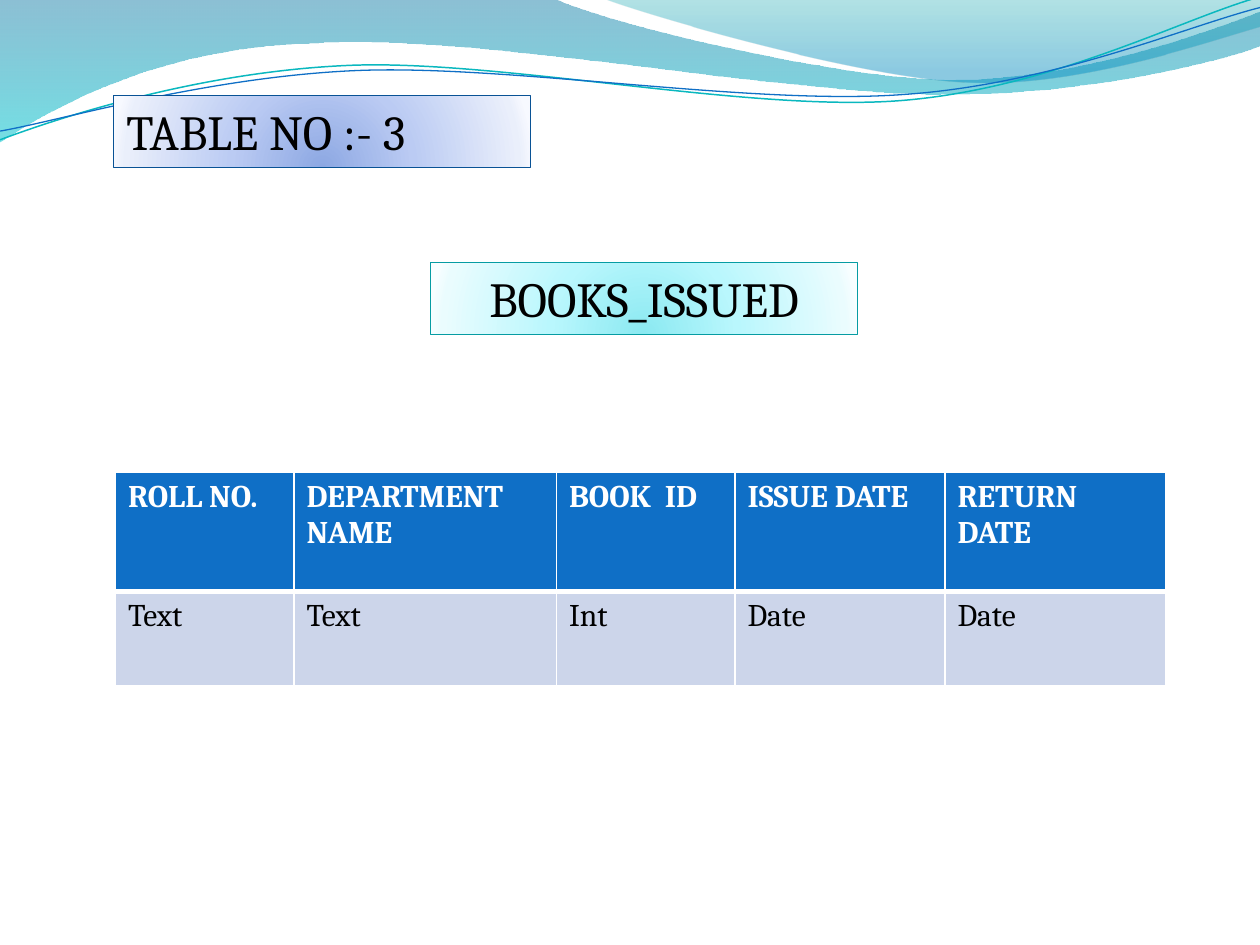
from dataclasses import dataclass
from typing import Optional

from lxml.etree import SubElement
from pptx import Presentation
from pptx.dml.color import RGBColor
from pptx.enum.shapes import MSO_SHAPE as Preset
from pptx.enum.text import MSO_ANCHOR as Anchor, MSO_AUTO_SIZE as AutoSize, PP_ALIGN as Align
from pptx.oxml import parse_xml
from pptx.oxml.ns import nsdecls, qn
from pptx.util import Pt

FONT = "Cambria"
COLORS = {
    "header": "0F6FC6", "body": "CCD5EA", "white": "FFFFFF", "black": "000000",
    "teal_line": "0AB8BF", "blue_line": "0F6FC6",
}
UNITS_PER_POINT = 100


@dataclass
class Stop:
    position: int
    color: str
    opacity: int = 100


@dataclass
class Wave:
    start: tuple
    segments: list  # one point is a straight line, three points are a Bezier curve
    stops: Optional[list] = None
    line: Optional[str] = None
    width: float = 0


@dataclass
class Label:
    text: str
    left: float
    top: float
    width: float
    height: float
    align: Align
    colors: list
    line: str


WAVES = [
    Wave((0, 0), [
        [(316.8, -0.7)],
        [(342.7, 12.2), (478.1, 45.4), (545.8, 45.4)],
        [(614.2, 45.4), (689.8, 18.7), (720, 6.5)],
        [(720.7, 25.9)],
        [(707.8, 31.7), (626.4, 54.7), (537.1, 54)],
        [(447.8, 54), (275, 20.2), (185, 24.5)],
        [(92.9, 25.9), (33.1, 59.8), (-0.7, 81.4)],
    ], stops=[Stop(0, "0074A1", 45), Stop(100, "00C6CF", 55)]),
    Wave((344.9, -0.7), [
        [(366.5, 7.9), (491, 44.6), (553.7, 46.8)],
        [(616.3, 49.7), (691.9, 23), (720, 15.1)],
        [(720, 0)],
    ], stops=[Stop(0, "00A1A9", 30), Stop(80, "008BBF", 45)]),
    Wave((0, 79.9), [
        [(34.6, 67), (113.8, 41), (199.4, 37.4)],
        [(284.4, 33.8), (427, 64.1), (513.4, 57.6)],
        [(599.8, 51.1), (675.4, 10.8), (718.6, -1.4)],
    ], line="teal_line", width=0.85),
    Wave((0, 74.9), [
        [(33.8, 69.1), (118.1, 43.9), (203.8, 40.3)],
        [(290.2, 36.7), (429.8, 60.5), (516.2, 54)],
        [(601.9, 48.2), (677.5, 15.1), (720, 4.3)],
    ], line="blue_line", width=0.75),
]

TITLE = Label("TABLE NO :- 3", 65, 54.5, 238.3, 41.2, Align.LEFT,
              ["8DA8E3", "BBCBF3", "EAEFFB", "F7F9FF"], "095295")
TABLE_NAME = Label("BOOKS_ISSUED", 246, 150, 244, 41.2, Align.CENTER,
                   ["8BE9F1", "B9F7FD", "EAFCFE", "F8FEFF"], "069CA3")
LABEL_STOPS = [0, 43, 93, 100]

COLUMNS = [
    ("ROLL NO.", "Text", 102),
    ("DEPARTMENT  NAME", "Text", 150),
    ("BOOK  ID", "Int", 102),
    ("ISSUE DATE", "Date", 120),
    ("RETURN DATE", "Date", 126),
]
ROW_HEIGHTS = [68, 54]


def rgb(name: str) -> RGBColor:
    return RGBColor.from_string(COLORS.get(name, name))


def set_gradient(shape, stops: list, direction: str) -> None:
    shape.fill.background()
    stop_xml = "".join(
        f'<a:gs pos="{stop.position * 1000}"><a:srgbClr val="{stop.color}">'
        f'<a:alpha val="{stop.opacity * 1000}"/></a:srgbClr></a:gs>'
        for stop in stops)
    gradient = parse_xml(f'<a:gradFill {nsdecls("a")} rotWithShape="1">'
                         f'<a:gsLst>{stop_xml}</a:gsLst>{direction}</a:gradFill>')
    properties = shape._element.spPr
    properties.replace(properties.find(qn("a:noFill")), gradient)


def bend_segments(shape, segments: list) -> None:
    """Join each three straight steps that belong to a curve into one Bezier."""
    steps = iter(list(shape._element.iter(qn("a:lnTo"))))
    for segment in segments:
        members = [next(steps) for _ in segment]
        if len(members) == 3:
            outline = members[0].getparent()
            curve = SubElement(outline, qn("a:cubicBezTo"))
            outline.replace(members[0], curve)
            for member in members:
                curve.append(member[0])
            for member in members[1:]:
                outline.remove(member)


def draw_wave(page, wave: Wave) -> None:
    points = [wave.start] + [point for segment in wave.segments for point in segment]
    units = [(x * UNITS_PER_POINT, y * UNITS_PER_POINT) for x, y in points]
    builder = page.shapes.build_freeform(*units[0], scale=Pt(1) / UNITS_PER_POINT)
    builder.add_line_segments(units[1:], close=wave.stops is not None)
    shape = builder.convert_to_shape()
    bend_segments(shape, wave.segments)
    shape.shadow.inherit = False
    if wave.stops:
        set_gradient(shape, wave.stops, '<a:lin ang="5400000" scaled="0"/>')
        shape.line.fill.background()
    else:
        shape.fill.background()
        shape.line.color.rgb = rgb(wave.line)
        shape.line.width = Pt(wave.width)


def add_span(para, text: str, size: float, color: str, bold: bool = False) -> None:
    span = para.add_run()
    span.text = text
    span.font.name, span.font.size, span.font.bold = FONT, Pt(size), bold
    span.font.color.rgb = rgb(color)


def format_label(box, label: Label) -> None:
    box.left, box.top = Pt(label.left), Pt(label.top)
    box.width, box.height = Pt(label.width), Pt(label.height)
    stops = [Stop(*pair) for pair in zip(LABEL_STOPS, label.colors)]
    set_gradient(box, stops, '<a:path path="circle"><a:fillToRect l="50000" t="130000" '
                             'r="50000" b="-30000"/></a:path>')
    box.line.color.rgb = rgb(label.line)
    box.line.width = Pt(0.75)
    box.shadow.inherit = False
    frame = box.text_frame
    frame.word_wrap = True
    frame.auto_size = AutoSize.NONE
    frame.vertical_anchor = Anchor.TOP
    para = frame.paragraphs[0]
    para.alignment = label.align
    add_span(para, label.text, 28, "black")


def set_borders(cell, widths: dict) -> None:
    properties = cell._tc.get_or_add_tcPr()
    for index, (side, width) in enumerate(widths.items()):
        properties.insert(index, parse_xml(
            f'<a:ln{side} {nsdecls("a")} w="{Pt(width)}"><a:solidFill>'
            f'<a:srgbClr val="{COLORS["white"]}"/></a:solidFill></a:ln{side}>'))


def draw_table(page) -> None:
    frame = page.shapes.add_table(len(ROW_HEIGHTS), len(COLUMNS), Pt(66), Pt(270),
                                  Pt(600), Pt(sum(ROW_HEIGHTS)))
    table = frame.table
    for row, height in zip(table.rows, ROW_HEIGHTS):
        row.height = Pt(height)
    for column, (heading, kind, width) in enumerate(COLUMNS):
        table.columns[column].width = Pt(width)
        for row, text in enumerate((heading, kind)):
            header = row == 0
            cell = table.cell(row, column)
            cell.fill.solid()
            cell.fill.fore_color.rgb = rgb("header" if header else "body")
            add_span(cell.text_frame.paragraphs[0], text, 18,
                     "white" if header else "black", header)
            set_borders(cell, {"L": 1, "R": 1, "T": 1 if header else 3,
                               "B": 3 if header else 1})


def main() -> None:
    deck = Presentation()
    deck.slide_width, deck.slide_height = Pt(720), Pt(540)
    page = deck.slides.add_slide(deck.slide_layouts[5])

    # Wave decoration
    for wave in WAVES:
        draw_wave(page, wave)

    # Title, raised above the waves
    title = page.shapes.title
    page.shapes._spTree.append(title._element)
    format_label(title, TITLE)

    # Field table and its name
    draw_table(page)
    box = page.shapes.add_shape(Preset.RECTANGLE, 0, 0, Pt(1), Pt(1))
    format_label(box, TABLE_NAME)

    deck.save("out.pptx")


if __name__ == "__main__":
    main()
